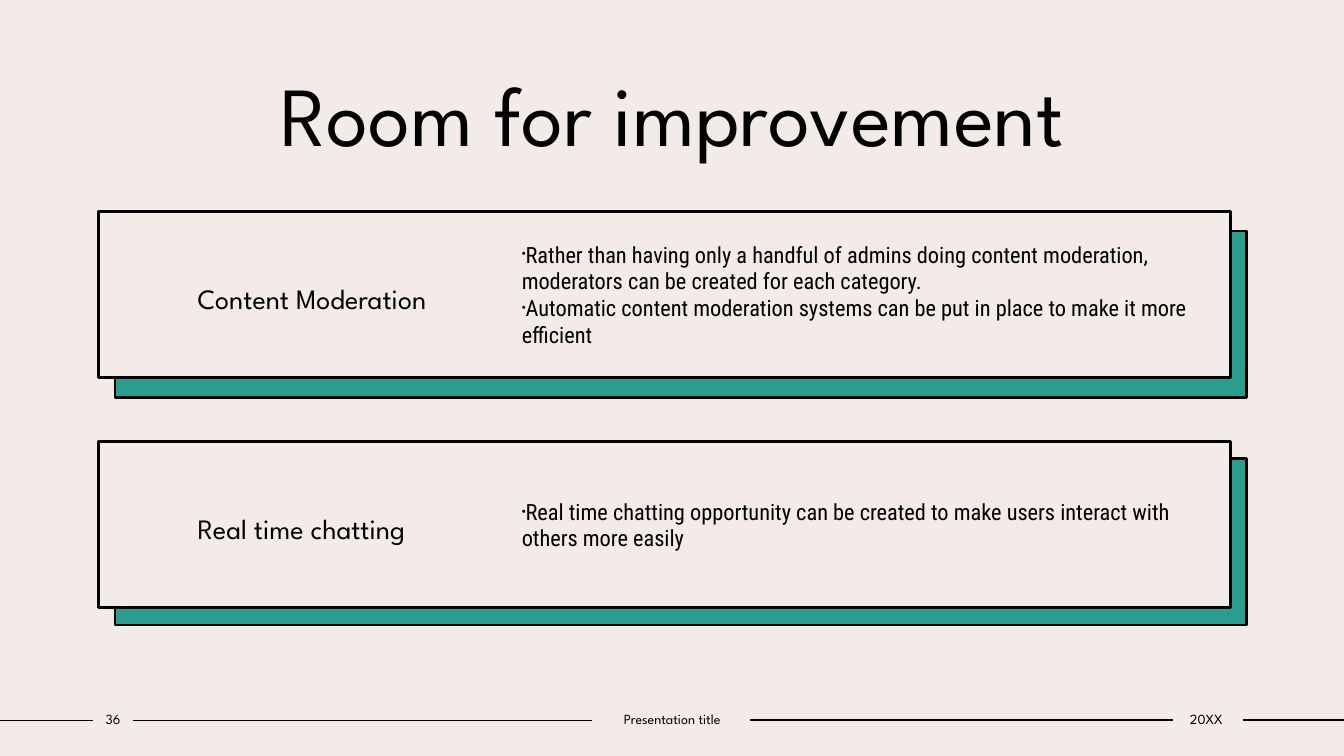
"""Builds the "Room for improvement" slide with two framed topics and a ruled footer."""
import pptx
import pptx.dml.color
import pptx.enum.shapes
import pptx.enum.text
import pptx.oxml.ns
import pptx.util
import lxml.etree

Cm, Pt = pptx.util.Cm, pptx.util.Pt
ALIGN, ANCHOR = pptx.enum.text.PP_ALIGN, pptx.enum.text.MSO_ANCHOR
RECTANGLE = pptx.enum.shapes.MSO_SHAPE.RECTANGLE
CREAM = pptx.dml.color.RGBColor(0xF3, 0xEB, 0xE8)
TEAL = pptx.dml.color.RGBColor(0x2A, 0x9D, 0x8F)
BLACK = pptx.dml.color.RGBColor(0, 0, 0)
HEADING_FONT, BODY_FONT = "League Spartan", "Roboto Condensed"
CARD_WIDTH, CARD_HEIGHT = 28.52, 4.19


def write(shape, lines, size, font=HEADING_FONT, align=ALIGN.LEFT, anchor=ANCHOR.MIDDLE,
          spacing=None, left=0.25, right=0.25, bullet=False):
    """Fill a shape with one formatted paragraph per line."""
    frame = shape.text_frame
    frame.word_wrap = True
    frame.vertical_anchor = anchor
    frame.margin_left, frame.margin_right = Cm(left), Cm(right)
    frame.margin_top = frame.margin_bottom = Cm(0.13)
    for number, line in enumerate(lines):
        para = frame.add_paragraph() if number else frame.paragraphs[0]
        para.alignment = align
        if spacing:
            para.line_spacing = spacing
        if bullet:
            properties = para._p.get_or_add_pPr()
            properties.set("marL", "0")
            properties.set("indent", str(-Cm(0.38)))
            for tag, name, value in (("a:buSzPct", "val", "50000"),
                                     ("a:buFont", "typeface", "Arial"),
                                     ("a:buChar", "char", "•")):
                lxml.etree.SubElement(properties, pptx.oxml.ns.qn(tag)).set(name, value)
        span = para.add_run()
        span.text = line
        span.font.name = font
        span.font.size = Pt(size)
        span.font.color.rgb = BLACK


def add_card(left, top, fill):
    """Draw one outlined rectangle of the card size."""
    card = page.shapes.add_shape(RECTANGLE, Cm(left), Cm(top), Cm(CARD_WIDTH), Cm(CARD_HEIGHT))
    card.shadow.inherit = False
    card.fill.solid()
    card.fill.fore_color.rgb = fill
    card.line.color.rgb = BLACK
    card.line.width = Pt(2)
    return card


deck = pptx.Presentation()
deck.slide_width, deck.slide_height = Cm(33.87), Cm(19.05)
page = deck.slides.add_slide(deck.slide_layouts[6])
page.background.fill.solid()
page.background.fill.fore_color.rgb = CREAM

for start, end, height in ((0, 2.34, 18.16), (3.35, 14.91, 18.16),
                           (18.9, 29.57, 18.14), (31.32, 33.87, 18.14)):
    rule = page.shapes.add_connector(pptx.enum.shapes.MSO_CONNECTOR.STRAIGHT,
                                     Cm(start), Cm(height), Cm(end), Cm(height))
    rule.line.color.rgb = BLACK
    rule.line.width = Pt(1)
    lxml.etree.SubElement(rule._element.spPr, pptx.oxml.ns.qn("a:effectLst"))

title = page.shapes.add_textbox(Cm(3.18), Cm(1.42), Cm(27.53), Cm(2.82))
write(title, ["Room for improvement"], 60, align=ALIGN.CENTER, anchor=ANCHOR.BOTTOM)

topics = (
    (5.33, 5.82, "Content Moderation", [
        "Rather than having only a handful of admins doing content moderation, "
        "moderators can be created for each category.",
        "Automatic content moderation systems can be put in place to make it more efficient"]),
    (11.13, 11.56, "Real time chatting", [
        "Real time chatting opportunity can be created to make users interact with "
        "others more easily"]),
)
for top, backing_top, heading, points in topics:
    add_card(2.9, backing_top, TEAL)
    write(add_card(2.49, top, CREAM), [heading], 20, spacing=1.2, left=2.49, right=18.03)
    details = page.shapes.add_textbox(Cm(12.9), Cm(top + 0.25), Cm(17.81), Cm(3.68))
    write(details, points, 16, font=BODY_FONT, bullet=True)

for left, width, label in ((2.34, 1.02, "36"), (14.91, 4.06, "Presentation title"),
                           (29.51, 1.78, "20XX")):
    footer = page.shapes.add_textbox(Cm(left), Cm(17.78), Cm(width), Cm(0.69))
    write(footer, [label], 10, align=ALIGN.CENTER, left=0, right=0)

deck.save("out.pptx")
